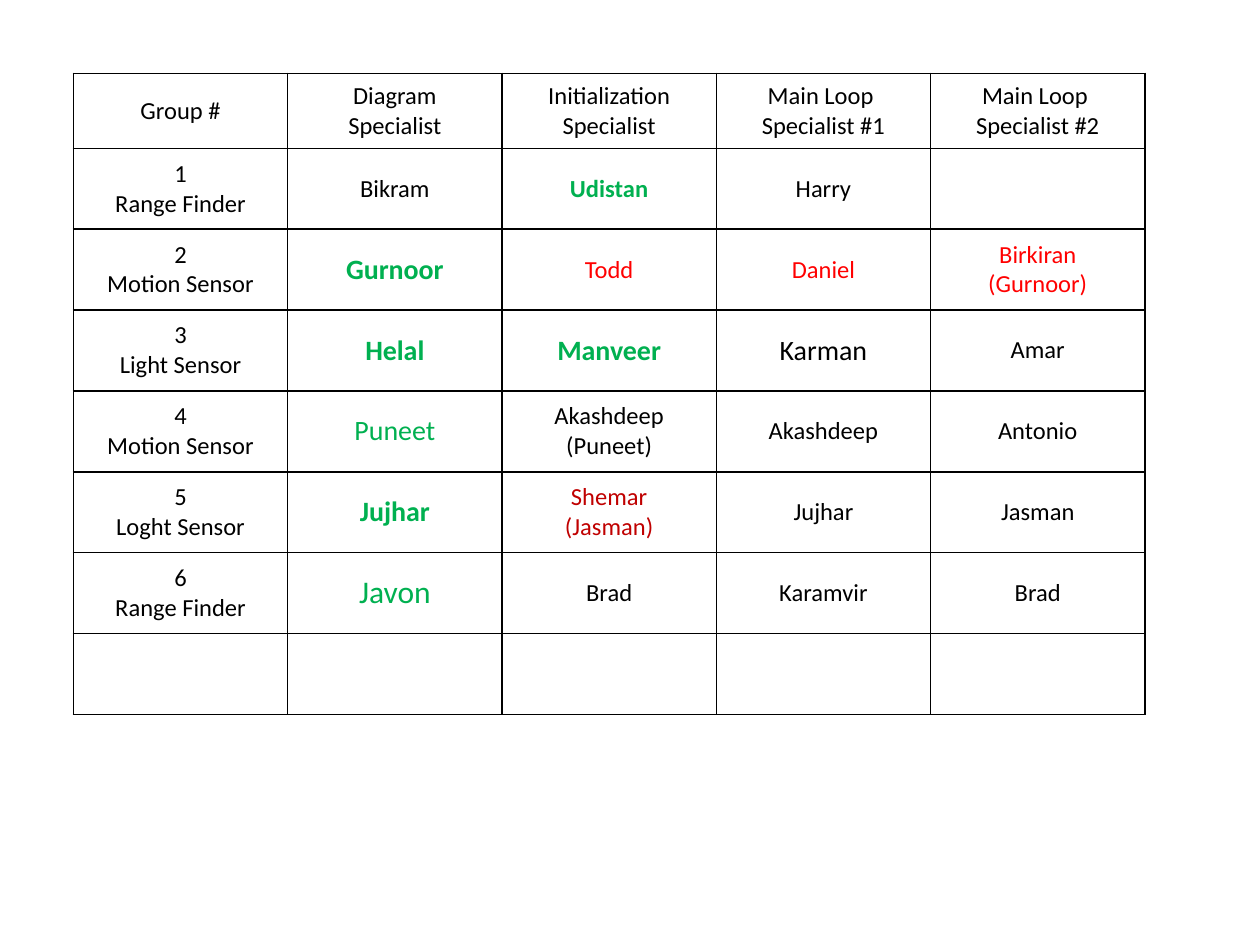
from dataclasses import dataclass

from lxml.etree import SubElement
from pptx import Presentation
from pptx.dml.color import RGBColor
from pptx.enum.text import MSO_ANCHOR, PP_ALIGN
from pptx.oxml.ns import qn
from pptx.table import Table, _Cell
from pptx.util import Cm, Pt

COLORS = {
    "black": "000000",
    "green": "00B050",
    "red": "FF0000",
    "dark_red": "C00000",
}
BLANK_LAYOUT = 6
TABLE_LEFT = TABLE_TOP = Cm(1.48)
COLUMN_WIDTH = Cm(4.32)
HEADER_HEIGHT = Cm(1.51)
ROW_HEIGHT = Cm(1.63)
BORDER_WIDTH = Pt(1)


@dataclass(frozen=True)
class Entry:
    text: str = ""
    color: str = "black"
    size: int = 14
    bold: bool = False


def green(text: str, size: int = 16, bold: bool = True) -> Entry:
    return Entry(text, "green", size, bold)


def red(text: str) -> Entry:
    return Entry(text, "red")


# Header and group roster; plain strings take the default format
ROSTER = [
    ["Group #", "Diagram\nSpecialist", "Initialization\nSpecialist",
     "Main Loop \nSpecialist #1", "Main Loop \nSpecialist #2"],
    ["1\nRange Finder", "Bikram", green("Udistan", 14), "Harry", ""],
    ["2\nMotion Sensor", green("Gurnoor"), red("Todd"), red("Daniel"),
     red("Birkiran\n(Gurnoor)")],
    ["3\nLight Sensor", green("Helal"), green("Manveer"),
     Entry("Karman", size=16), "Amar"],
    ["4\nMotion Sensor", green("Puneet", bold=False),
     "Akashdeep\n(Puneet)", "Akashdeep", "Antonio"],
    ["5\nLoght Sensor", green("Jujhar"),
     Entry("Shemar\n(Jasman)", "dark_red"), "Jujhar", "Jasman"],
    ["6\nRange Finder", green("Javon", 18, False), "Brad", "Karamvir", "Brad"],
    [""] * 5,
]


def draw_borders(cell: _Cell) -> None:
    properties = cell._tc.get_or_add_tcPr()
    for side in ("a:lnL", "a:lnR", "a:lnT", "a:lnB"):
        line = SubElement(properties, qn(side), w=str(BORDER_WIDTH))
        fill = SubElement(line, qn("a:solidFill"))
        SubElement(fill, qn("a:srgbClr"), val=COLORS["black"])


def fill_cell(cell: _Cell, entry: Entry) -> None:
    draw_borders(cell)
    cell.fill.background()
    cell.vertical_anchor = MSO_ANCHOR.MIDDLE
    cell.text = entry.text
    font_format = {"name": "Calibri", "size": Pt(entry.size), "bold": entry.bold}
    for paragraph in cell.text_frame.paragraphs:
        paragraph.alignment = PP_ALIGN.CENTER
        for run in paragraph.runs:
            for attribute, value in font_format.items():
                setattr(run.font, attribute, value)
            run.font.color.rgb = RGBColor.from_string(COLORS[entry.color])


def fill_table(table: Table) -> None:
    for attribute in ("first_row", "horz_banding"):
        setattr(table, attribute, False)
    for column in table.columns:
        column.width = COLUMN_WIDTH
    for row, entries in zip(table.rows, ROSTER):
        row.height = HEADER_HEIGHT if entries is ROSTER[0] else ROW_HEIGHT
        for cell, entry in zip(row.cells, entries):
            fill_cell(cell, entry if isinstance(entry, Entry) else Entry(entry))


def main() -> None:
    presentation = Presentation()
    presentation.slide_width = Cm(25.4)
    presentation.slide_height = Cm(19.05)
    slide = presentation.slides.add_slide(presentation.slide_layouts[BLANK_LAYOUT])

    # Roster table
    row_count, column_count = len(ROSTER), len(ROSTER[0])
    shape = slide.shapes.add_table(
        row_count, column_count, TABLE_LEFT, TABLE_TOP,
        COLUMN_WIDTH * column_count,
        HEADER_HEIGHT + ROW_HEIGHT * (row_count - 1),
    )
    fill_table(shape.table)
    presentation.save("out.pptx")


if __name__ == "__main__":
    main()
